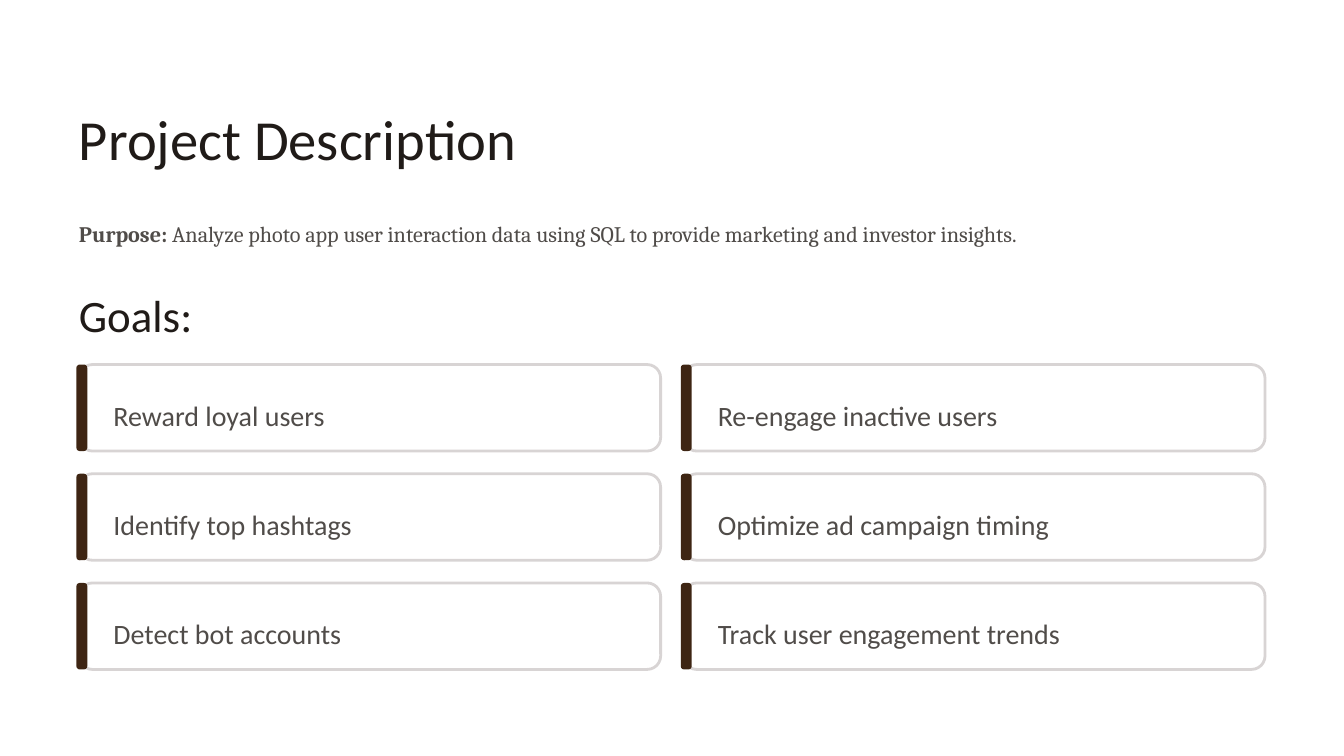
from typing import NamedTuple

from pptx import Presentation
from pptx.dml.color import RGBColor
from pptx.enum.shapes import MSO_SHAPE
from pptx.util import Inches, Pt

ROUNDED = MSO_SHAPE.ROUNDED_RECTANGLE

SLIDE_W, SLIDE_H = 16, 9
MARGIN = 0.94
CONTENT_W = SLIDE_W - 2 * MARGIN

COLUMNS = 2
GAP = 0.27
CARD_W = (CONTENT_W - GAP * (COLUMNS - 1)) / COLUMNS
CARD_H = 1.03
CARDS_TOP = 4.34
BAR_W = 0.13
BAR_OVERHANG = 0.03
LABEL_DX, LABEL_DY, LABEL_H = 0.41, 0.3, 0.42

WHITE, INK, GREY = "FFFFFF", "201B18", "504C49"
BORDER, BROWN = "D8D4D4", "3E2513"

GOALS = [
    "Reward loyal users",
    "Re-engage inactive users",
    "Identify top hashtags",
    "Optimize ad campaign timing",
    "Detect bot accounts",
    "Track user engagement trends",
]


class Box(NamedTuple):
    left: float
    top: float
    width: float
    height: float


class TextStyle(NamedTuple):
    size: float
    color: str
    spacing: float = 1.25
    font: str = "Calibri"


TITLE = TextStyle(48.5, INK)
HEADING = TextStyle(38.5, INK, 1.26)
BODY = TextStyle(19, GREY, 1.63, "Cambria")
LABEL = TextStyle(24, GREY)


def rgb(color: str) -> RGBColor:
    return RGBColor.from_string(color)


def add_text(slide, box: Box, text: str, style: TextStyle, lead: str = "") -> None:
    """Add a text box without insets; lead is a bold opening."""
    tf = slide.shapes.add_textbox(*map(Inches, box)).text_frame
    tf.word_wrap = True
    tf.margin_left = tf.margin_right = tf.margin_top = tf.margin_bottom = 0
    p = tf.paragraphs[0]
    p.line_spacing = style.spacing
    for part, bold in ((lead, True), (text, False)):
        if part:
            r = p.add_run()
            r.text = part
            r.font.name = style.font
            r.font.size = Pt(style.size)
            r.font.bold = bold
            r.font.color.rgb = rgb(style.color)


def add_rounded(slide, box: Box, radius: float, fill: str, border: str = "") -> None:
    sp = slide.shapes.add_shape(ROUNDED, *map(Inches, box))
    sp.adjustments[0] = radius
    sp.shadow.inherit = False
    sp.fill.solid()
    sp.fill.fore_color.rgb = rgb(fill)
    if border:
        sp.line.color.rgb = rgb(border)
        sp.line.width = Pt(2.4)
    else:
        sp.line.fill.background()


def add_goal(slide, index: int, goal: str) -> None:
    row, column = divmod(index, COLUMNS)
    left = MARGIN + column * (CARD_W + GAP)
    top = CARDS_TOP + row * (CARD_H + GAP)
    add_rounded(slide, Box(left, top, CARD_W, CARD_H), 0.156, WHITE, BORDER)
    add_rounded(slide, Box(left - BAR_OVERHANG, top, BAR_W, CARD_H), 0.304, BROWN)
    label = Box(left + LABEL_DX, top + LABEL_DY, CARD_W - 2 * LABEL_DX, LABEL_H)
    add_text(slide, label, goal, LABEL)


def main() -> None:
    prs = Presentation()
    prs.slide_width, prs.slide_height = Inches(SLIDE_W), Inches(SLIDE_H)
    slide = prs.slides.add_slide(prs.slide_layouts[6])
    slide.background.fill.solid()
    slide.background.fill.fore_color.rgb = rgb(WHITE)

    add_text(slide, Box(MARGIN, 1.04, 6.75, 0.84), "Project Description", TITLE)
    add_text(
        slide,
        Box(MARGIN, 2.42, CONTENT_W, 0.43),
        " Analyze photo app user interaction data using SQL"
        " to provide marketing and investor insights.",
        BODY,
        lead="Purpose:",
    )
    add_text(slide, Box(MARGIN, 3.26, 5.4, 0.67), "Goals:", HEADING)
    for index, goal in enumerate(GOALS):
        add_goal(slide, index, goal)

    prs.save("out.pptx")


if __name__ == "__main__":
    main()
